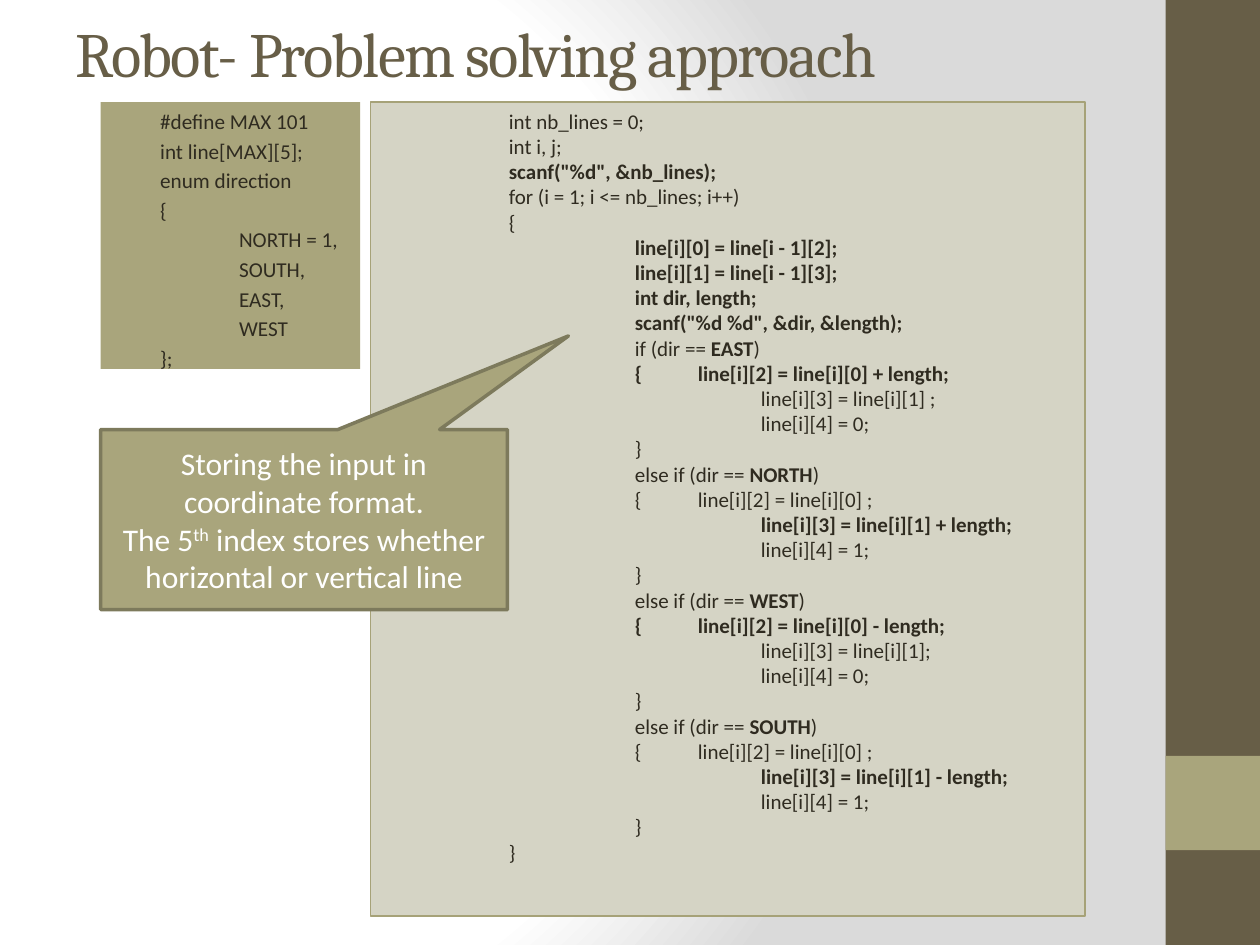
import pptx
import pptx.dml.color
import pptx.enum.shapes
import pptx.enum.text
import pptx.oxml
import pptx.oxml.ns
import pptx.util

Cm = pptx.util.Cm
Pt = pptx.util.Pt
RGBColor = pptx.dml.color.RGBColor
SHAPE = pptx.enum.shapes.MSO_SHAPE
ANCHOR = pptx.enum.text.MSO_ANCHOR
ALIGN = pptx.enum.text.PP_ALIGN

BROWN = RGBColor(0x67, 0x5E, 0x47)
OLIVE = RGBColor(0xA9, 0xA5, 0x7C)
OLIVE_EDGE = RGBColor(0xA6, 0xA2, 0x78)
OLIVE_DARK = RGBColor(0x7D, 0x7A, 0x5C)
PALE = RGBColor(0xD5, 0xD4, 0xC5)
INK = RGBColor(0x2F, 0x2B, 0x20)
WHITE = RGBColor(0xFF, 0xFF, 0xFF)

BACKDROP = """<p:bg %s><p:bgPr><a:gradFill rotWithShape="1"><a:gsLst>
<a:gs pos="0"><a:srgbClr val="FFFFFF"/></a:gs>
<a:gs pos="75000"><a:srgbClr val="FFFFFF"/></a:gs>
<a:gs pos="100000"><a:srgbClr val="DADADA"/></a:gs></a:gsLst>
<a:path path="circle"><a:fillToRect l="20000" t="50000" r="100000" b="50000"/></a:path>
</a:gradFill><a:effectLst/></p:bgPr></p:bg>""" % pptx.oxml.ns.nsdecls("p", "a")

DECLARATIONS = """#define MAX 101
int line[MAX][5];
enum direction
{
    NORTH = 1,
    SOUTH,
    EAST,
    WEST
};"""

READING_LOOP = """int nb_lines = 0;
int i, j;
**scanf("%d", &nb_lines);
for (i = 1; i <= nb_lines; i++)
{
    **line[i][0] = line[i - 1][2];
    **line[i][1] = line[i - 1][3];
    **int dir, length;
    **scanf("%d %d", &dir, &length);
    if (dir == **EAST**)
    **{\tline[i][2] = line[i][0] + length;
        line[i][3] = line[i][1] ;
        line[i][4] = 0;
    }
    else if (dir == **NORTH**)
    {\tline[i][2] = line[i][0] ;
        **line[i][3] = line[i][1] + length;
        line[i][4] = 1;
    }
    else if (dir == **WEST**)
    **{\tline[i][2] = line[i][0] - length;
        line[i][3] = line[i][1];
        line[i][4] = 0;
    }
    else if (dir == **SOUTH**)
    {\tline[i][2] = line[i][0] ;
        **line[i][3] = line[i][1] - length;
        line[i][4] = 1;
    }
}"""


class SlideWriter:
    body_font = "Calibri"
    title_font = "Cambria"

    def __init__(self, slide):
        self.slide = slide

    def backdrop(self):
        self.slide.element.cSld.insert(0, pptx.oxml.parse_xml(BACKDROP))

    def box(self, left, top, width, height, fill, line=None, line_width=1,
            preset=SHAPE.RECTANGLE, anchor=ANCHOR.TOP):
        shape = self.slide.shapes.add_shape(
            preset, Cm(left), Cm(top), Cm(width), Cm(height))
        shape.shadow.inherit = False
        shape.fill.solid()
        shape.fill.fore_color.rgb = fill
        if line is None:
            shape.line.fill.background()
        else:
            shape.line.color.rgb = line
            shape.line.width = Pt(line_width)
        shape.text_frame.word_wrap = True
        shape.text_frame.vertical_anchor = anchor
        return shape

    def run(self, paragraph, text, size, color, font=None, bold=False):
        run = paragraph.add_run()
        run.text = text
        run.font.name = font or self.body_font
        run.font.size = Pt(size)
        run.font.color.rgb = color
        run.font.bold = bold
        return run

    def title(self, left, top, width, height, text):
        heading = self.slide.shapes.add_textbox(
            Cm(left), Cm(top), Cm(width), Cm(height))
        frame = heading.text_frame
        frame.word_wrap = True
        frame.vertical_anchor = ANCHOR.MIDDLE
        run = self.run(frame.paragraphs[0], text, 36, BROWN, self.title_font)
        run.font._element.set("spc", "-100")

    def code(self, shape, source, size, indents, space_before=0):
        frame = shape.text_frame
        for number, row in enumerate(source.split("\n")):
            paragraph = frame.add_paragraph() if number else frame.paragraphs[0]
            paragraph.alignment = ALIGN.LEFT
            paragraph.space_before = Pt(space_before)
            statement = row.lstrip(" ")
            level = (len(row) - len(statement)) // 4
            properties = paragraph._p.get_or_add_pPr()
            properties.set("marL", str(Cm(indents[level])))
            properties.set("indent", "0")
            for part, text in enumerate(statement.split("**")):
                if text:
                    self.run(paragraph, text, size, INK, bold=part % 2 == 1)

    def callout(self, left, top, width, height, tip):
        shape = self.box(left, top, width, height, OLIVE, OLIVE_DARK, 2,
                         SHAPE.RECTANGULAR_CALLOUT, ANCHOR.MIDDLE)
        for index, offset in enumerate(tip):
            shape.adjustments[index] = offset
        frame = shape.text_frame
        storing, fifth = frame.paragraphs[0], frame.add_paragraph()
        storing.alignment = fifth.alignment = ALIGN.CENTER
        self.run(storing, "Storing the input in coordinate format.", 18, WHITE)
        self.run(fifth, "The 5", 18, WHITE)
        ordinal = self.run(fifth, "th", 18, WHITE)
        ordinal.font._element.set("baseline", "30000")
        self.run(fifth, " index stores whether horizontal or vertical line",
                 18, WHITE)


def main():
    deck = pptx.Presentation()
    deck.slide_width, deck.slide_height = Cm(25.4), Cm(19.05)
    writer = SlideWriter(deck.slides.add_slide(deck.slide_layouts[6]))
    writer.backdrop()
    writer.box(23.5, 0, 1.9, 19.05, BROWN)
    writer.box(23.5, 15.24, 1.9, 1.9, OLIVE)
    writer.title(1.27, 0, 21.16, 2.11, "Robot- Problem solving approach")

    declarations = writer.box(2.03, 2.06, 5.23, 5.38, OLIVE)
    writer.code(declarations, DECLARATIONS, 12.1, (0.95, 2.54), 2.4)
    reading_loop = writer.box(7.47, 2.06, 14.4, 16.41, PALE, OLIVE_EDGE)
    writer.code(reading_loop, READING_LOOP, 12, (2.54, 5.08, 7.62))
    writer.callout(2.03, 8.66, 8.2, 3.63, (0.65, -1.02))
    deck.save("out.pptx")


if __name__ == "__main__":
    main()
